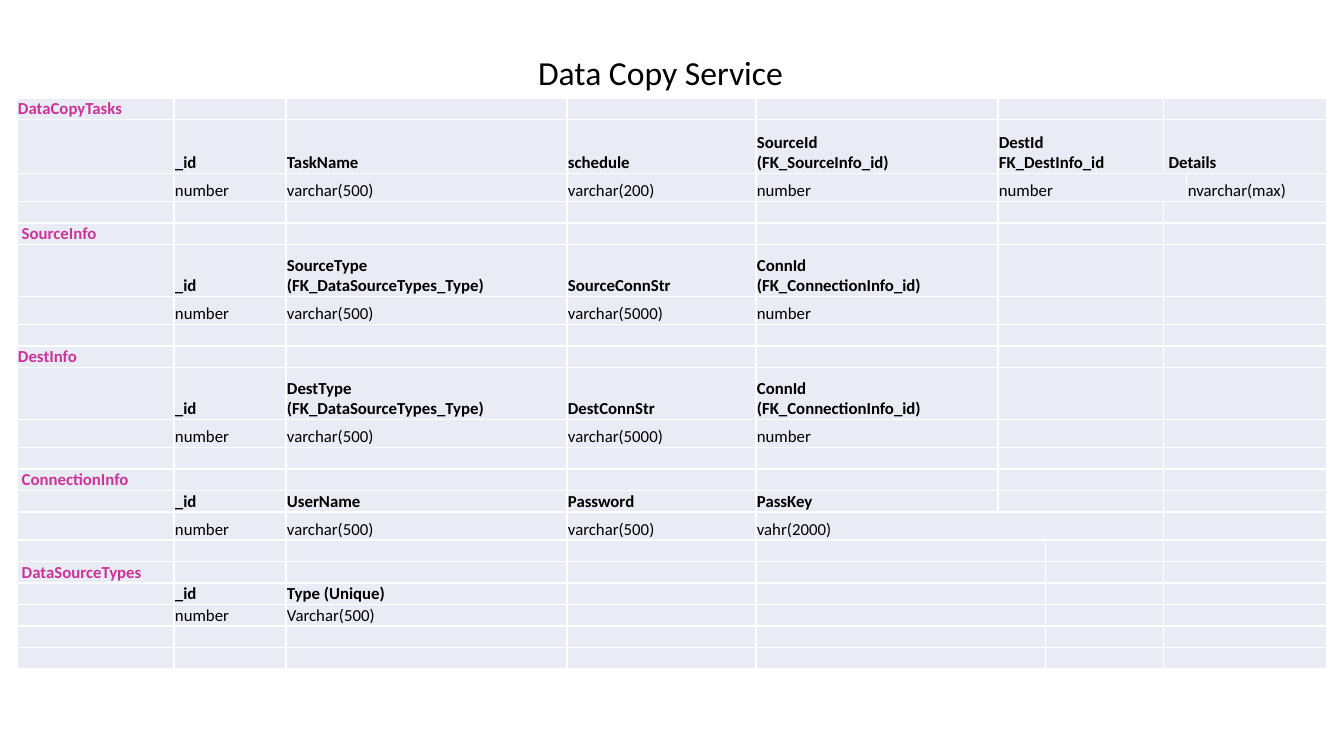
from dataclasses import dataclass

from lxml import etree
from pptx import Presentation
from pptx.dml.color import RGBColor
from pptx.enum import text
from pptx.oxml import ns
from pptx.util import Emu, Pt

PX = 914400 / 100.8  # EMU per pixel


@dataclass(frozen=True)
class Theme:
    font: str = "Calibri"
    title_size: int = 24
    cell_size: int = 12
    ink: str = "000000"
    accent: str = "CC3399"
    cell_fill: str = "E9EBF5"
    border: str = "FFFFFF"


def px(length):
    return Emu(round(length * PX))


class SlideBuilder:
    def __init__(self, prs, theme):
        self.theme = theme
        self.slide = prs.slides.add_slide(prs.slide_layouts[5])

    def style(self, paragraph, size, color, bold=False):
        font = paragraph.font
        font.name, font.size, font.bold = self.theme.font, Pt(size), bold
        font.color.rgb = RGBColor.from_string(color)

    def title(self, words, left, top, width, height):
        heading = self.slide.shapes.title
        heading.left, heading.top = px(left), px(top)
        heading.width, heading.height = px(width), px(height)
        frame = heading.text_frame
        frame.text = words
        frame.word_wrap = True
        frame.auto_size = text.MSO_AUTO_SIZE.NONE
        frame.vertical_anchor = text.MSO_ANCHOR.TOP
        line = frame.paragraphs[0]
        line.alignment = text.PP_ALIGN.CENTER
        line.line_spacing, line.space_before = 0.9, Pt(10)
        self.style(line, self.theme.title_size, self.theme.ink)

    def table(self, left, top, widths, heights):
        grid = self.slide.shapes.add_table(
            len(heights), len(widths), px(left), px(top),
            px(sum(widths)), px(sum(heights))).table
        grid.first_row = grid.horz_banding = False
        for column, width in zip(grid.columns, widths):
            column.width = px(width)
        for row, height in zip(grid.rows, heights):
            row.height = px(height)
        for cell in grid.iter_cells():
            self.blank_cell(cell)
        return grid

    def blank_cell(self, cell):
        cell.margin_left = cell.margin_right = cell.margin_top = px(1)
        cell.margin_bottom = 0
        cell.vertical_anchor = text.MSO_ANCHOR.BOTTOM
        # White borders go ahead of the fill
        properties = cell._tc.get_or_add_tcPr()
        for side in ("a:lnL", "a:lnR", "a:lnT", "a:lnB"):
            line = etree.SubElement(properties, ns.qn(side), w=str(Pt(1)))
            paint = etree.SubElement(line, ns.qn("a:solidFill"))
            etree.SubElement(paint, ns.qn("a:srgbClr"), val=self.theme.border)
        cell.fill.solid()
        cell.fill.fore_color.rgb = RGBColor.from_string(self.theme.cell_fill)
        # Empty cells keep the small type size, so rows stay low
        etree.SubElement(cell.text_frame.paragraphs[0]._p, ns.qn("a:endParaRPr"),
                         sz=str(self.theme.cell_size * 100))

    def cell_text(self, cell, words, color, bold=False):
        cell.text_frame.text = words
        for paragraph in cell.text_frame.paragraphs:
            self.style(paragraph, self.theme.cell_size, color, bold)


# Entities: name, header row height, type row height, fields
LOW, TYPE_ROW = 21, 28
CONNECTION = ("ConnId\n(FK_ConnectionInfo_id)", "number")
ID = ("_id", "number")
ENTITIES = [
    ("DataCopyTasks", 54, TYPE_ROW, [
        ID, ("TaskName", "varchar(500)"), ("schedule", "varchar(200)"),
        ("SourceId\n(FK_SourceInfo_id)", "number"),
        ("DestId\nFK_DestInfo_id", "number"), ("\u00a0Details", "nvarchar(max)")]),
    ("\u00a0SourceInfo", 52, TYPE_ROW, [
        ID, ("SourceType\n(FK_DataSourceTypes_Type)", "varchar(500)"),
        ("SourceConnStr", "varchar(5000)"), CONNECTION]),
    ("DestInfo", 52, TYPE_ROW, [
        ID, ("DestType\n(FK_DataSourceTypes_Type)", "varchar(500)"),
        ("DestConnStr", "varchar(5000)"), CONNECTION]),
    ("\u00a0ConnectionInfo", LOW, TYPE_ROW, [
        ID, ("UserName", "varchar(500)"), ("Password", "varchar(500)"),
        ("PassKey", "vahr(2000)")]),
    ("\u00a0DataSourceTypes", LOW, LOW, [ID, ("Type (Unique)", "Varchar(500)")]),
]
COLUMN_WIDTHS = [157, 112, 281, 189, 242, 48, 118, 23, 140]
HEADER_COLUMNS = [1, 2, 3, 4, 5, 7]
TYPE_COLUMNS = [1, 2, 3, 4, 5, 8]
ROWS_PER_ENTITY = 4  # name, headers, types, gap

# Merged columns, first and last; rows below PassKey's type split differently
DETAILS_TYPE_ROW, PASSKEY_TYPE_ROW = 2, 14
SPECIAL_MERGES = {DETAILS_TYPE_ROW: [(5, 7)], PASSKEY_TYPE_ROW: [(4, 6), (7, 8)]}


def merges(row):
    usual = [(5, 6), (7, 8)] if row < PASSKEY_TYPE_ROW else [(4, 5), (7, 8)]
    return SPECIAL_MERGES.get(row, usual)


prs = Presentation()
prs.slide_width, prs.slide_height = px(1344), px(756)
theme = Theme()
builder = SlideBuilder(prs, theme)

# Heading
builder.title("Data Copy Service", 17, 51, 1287, 670)

# Schema grid, with one more empty row at the end
row_heights = [height for _, header, kind, _ in ENTITIES
               for height in (LOW, header, kind, LOW)] + [LOW]
schema = builder.table(17, 98, COLUMN_WIDTHS, row_heights)
for row in range(len(row_heights)):
    for first, last in merges(row):
        schema.cell(row, first).merge(schema.cell(row, last))

# Entity names, field headers and field types
for index, (name, _, _, fields) in enumerate(ENTITIES):
    row = index * ROWS_PER_ENTITY
    builder.cell_text(schema.cell(row, 0), name, theme.accent, bold=True)
    for (field, kind), header_column, type_column in zip(
            fields, HEADER_COLUMNS, TYPE_COLUMNS):
        builder.cell_text(schema.cell(row + 1, header_column), field, theme.ink, bold=True)
        builder.cell_text(schema.cell(row + 2, type_column), kind, theme.ink)

prs.save("out.pptx")
